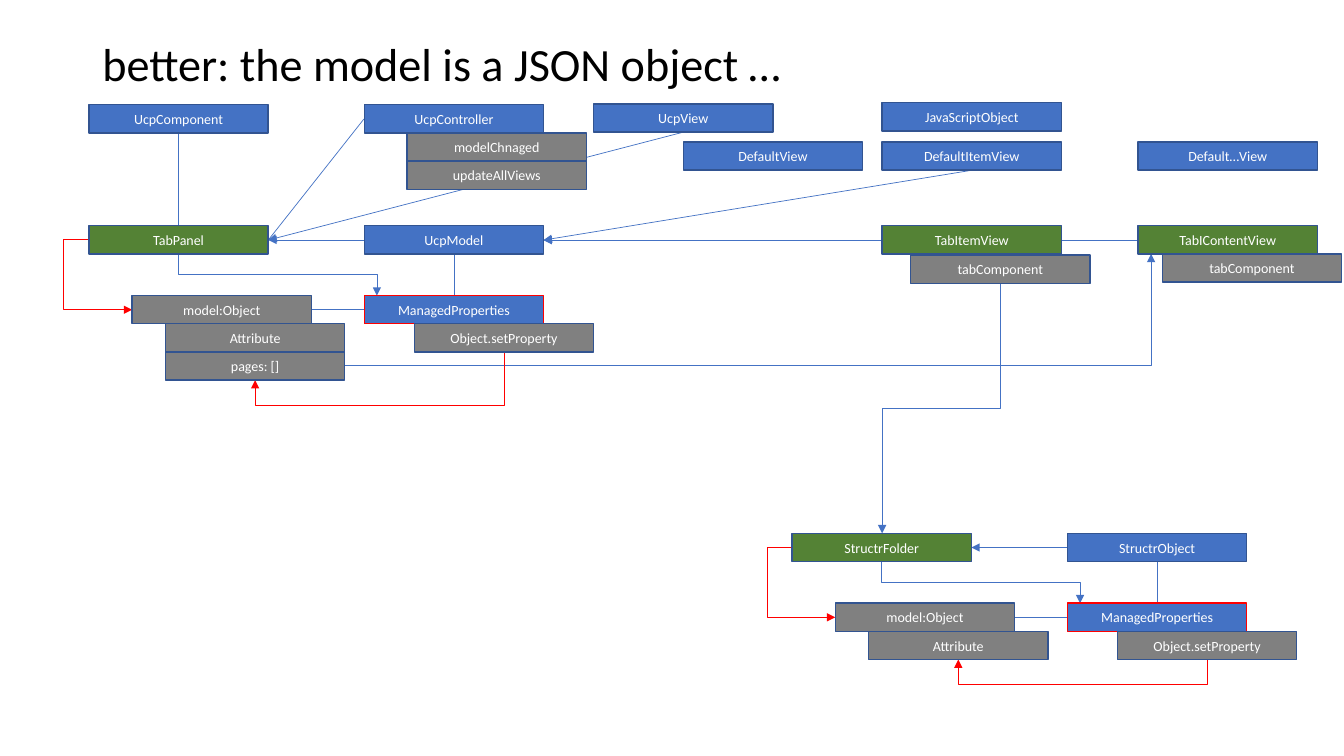
from dataclasses import dataclass
from typing import Optional

from lxml.etree import SubElement
from pptx import Presentation
from pptx.dml.color import RGBColor
from pptx.enum.shapes import MSO_CONNECTOR, MSO_SHAPE
from pptx.enum.text import MSO_ANCHOR, PP_ALIGN
from pptx.oxml.ns import qn
from pptx.util import Cm, Pt

BLUE, GREEN, GRAY, RED = "4472C4", "548235", "808080", "FF0000"
EDGE, WHITE, BLACK = "325491", "FFFFFF", "000000"
FONT = "Calibri"
W, H = 4.52, 0.71


@dataclass
class Box:
    text: str
    x: float
    y: float
    fill: str = BLUE
    edge: str = EDGE


@dataclass
class Wire:
    x1: float
    y1: float
    x2: float
    y2: float
    color: str = BLUE
    arrow: bool = True
    route: str = "straight"
    bend: Optional[float] = None


def rgb(value: str) -> RGBColor:
    return RGBColor.from_string(value)


def style_text(p, size: float, color: str) -> None:
    for r in p.runs:
        r.font.name = FONT
        r.font.size = Pt(size)
        r.font.color.rgb = rgb(color)


def draw_box(s, box: Box) -> None:
    sp = s.shapes.add_shape(MSO_SHAPE.RECTANGLE, Cm(box.x), Cm(box.y), Cm(W), Cm(H))
    sp.shadow.inherit = False
    sp.fill.solid()
    sp.fill.fore_color.rgb = rgb(box.fill)
    sp.line.color.rgb = rgb(box.edge)
    sp.line.width = Pt(1)
    tf = sp.text_frame
    tf.word_wrap = True
    tf.margin_top = tf.margin_bottom = 0
    tf.vertical_anchor = MSO_ANCHOR.MIDDLE
    p = tf.paragraphs[0]
    p.text = box.text
    p.alignment = PP_ALIGN.CENTER
    style_text(p, 10, WHITE)


def draw_wire(s, wire: Wire) -> None:
    x1, y1, x2, y2 = wire.x1, wire.y1, wire.x2, wire.y2
    kind = MSO_CONNECTOR.STRAIGHT if wire.route == "straight" else MSO_CONNECTOR.ELBOW
    if wire.route == "vertical":
        cx, cy, dx, dy = (x1 + x2) / 2, (y1 + y2) / 2, (x2 - x1) / 2, (y2 - y1) / 2
        ends = cx - dy, cy + dx, cx + dy, cy - dx
    else:
        ends = x1, y1, x2, y2
    c = s.shapes.add_connector(kind, *(Cm(v) for v in ends))
    c.line.color.rgb = rgb(wire.color)
    c.line.width = Pt(0.5)
    spPr = c._element.spPr
    geom = spPr.find(qn("a:prstGeom"))
    if wire.route == "vertical":
        spPr.find(qn("a:xfrm")).set("rot", "5400000")
    if wire.route == "corner":
        geom.set("prst", "bentConnector2")
    if wire.bend is not None:
        start, end = (y1, y2) if wire.route == "vertical" else (x1, x2)
        share = round((wire.bend - start) / (end - start) * 100000)
        avLst = geom.find(qn("a:avLst"))
        SubElement(avLst, qn("a:gd"), name="adj1", fmla=f"val {share}")
    if wire.arrow:
        SubElement(c.line._get_or_add_ln(), qn("a:tailEnd"), type="triangle")
    SubElement(spPr, qn("a:effectLst"))


def component(x: float, y: float, name: str, parent: str,
              attributes: list[str]) -> tuple[list[Wire], list[Box]]:
    right, row = x + 6.94, y + 1.76
    attr_x, attr_y = x + 1.93, row + H
    bottom = attr_y + len(attributes) * H
    wires = [
        Wire(right, y + H / 2, x + W, y + H / 2),
        Wire(right + W / 2, row, right + W / 2, y + H, arrow=False),
        Wire(right, row + H / 2, x + 1.09 + W, row + H / 2, arrow=False),
        Wire(x, y + H / 2, x + 1.09, row + H / 2, RED, route="horizontal", bend=x - 0.63),
        Wire(x + 10.46, attr_y + 0.67, attr_x + W / 2, bottom, RED,
             route="vertical", bend=bottom + 0.63),
        Wire(x + W / 2, y + H, x + 7.26, row, route="vertical", bend=(y + H + row) / 2),
    ]
    boxes = [
        Box(name, x, y, GREEN),
        Box(parent, right, y),
        Box("model:Object", x + 1.09, row, GRAY),
        Box("ManagedProperties", right, row, edge=RED),
        Box("Object.setProperty", x + 8.2, attr_y, GRAY),
    ]
    boxes += [Box(a, attr_x, attr_y + i * H, GRAY) for i, a in enumerate(attributes)]
    return wires, boxes


def draw_title(s, text: str) -> None:
    tf = s.shapes.add_textbox(Cm(2.33), Cm(1.02), Cm(29.21), Cm(1.35)).text_frame
    tf.word_wrap = True
    tf.vertical_anchor = MSO_ANCHOR.BOTTOM
    p = tf.paragraphs[0]
    p.text = text
    p.line_spacing = 0.7
    style_text(p, 33, BLACK)


WIRES = [
    Wire(6.76, 6.05, 9.17, 3, arrow=False),
    Wire(4.5, 3.35, 4.5, 5.69, arrow=False),
    Wire(17.22, 3.33, 6.76, 6.05),
    Wire(24.49, 4.29, 13.7, 6.05),
    Wire(22.23, 6.05, 13.7, 6.05),
    Wire(28.68, 6.05, 13.7, 6.05),
    Wire(25.22, 7.14, 22.23, 13.44, route="vertical", bend=10.29),
    Wire(8.69, 9.22, 29.01, 6.4, route="corner"),
]
BOXES = [
    Box("UcpComponent", 2.24, 2.64),
    Box("UcpController", 9.18, 2.64),
    Box("modelChnaged", 10.26, 3.35, GRAY),
    Box("updateAllViews", 10.26, 4.06, GRAY),
    Box("UcpView", 14.96, 2.62),
    Box("DefaultView", 17.22, 3.58),
    Box("JavaScriptObject", 22.23, 2.59),
    Box("DefaultItemView", 22.23, 3.58),
    Box("Default…View", 28.68, 3.58),
    Box("tabComponent", 22.95, 6.43, GRAY),
    Box("TabItemView", 22.23, 5.69, GREEN),
    Box("TabIContentView", 28.68, 5.69, GREEN),
    Box("tabComponent", 29.29, 6.4, GRAY),
]


def main() -> None:
    prs = Presentation()
    prs.slide_width, prs.slide_height = Cm(33.87), Cm(19.05)
    s = prs.slides.add_slide(prs.slide_layouts[6])
    draw_title(s, "better: the model is a JSON object …")
    wires, boxes = list(WIRES), list(BOXES)
    for part in (
        component(2.24, 5.69, "TabPanel", "UcpModel", ["Attribute", "pages: []"]),
        component(19.96, 13.44, "StructrFolder", "StructrObject", ["Attribute"]),
    ):
        wires += part[0]
        boxes += part[1]
    for wire in wires:
        draw_wire(s, wire)
    for box in boxes:
        draw_box(s, box)
    prs.save("out.pptx")


if __name__ == "__main__":
    main()
